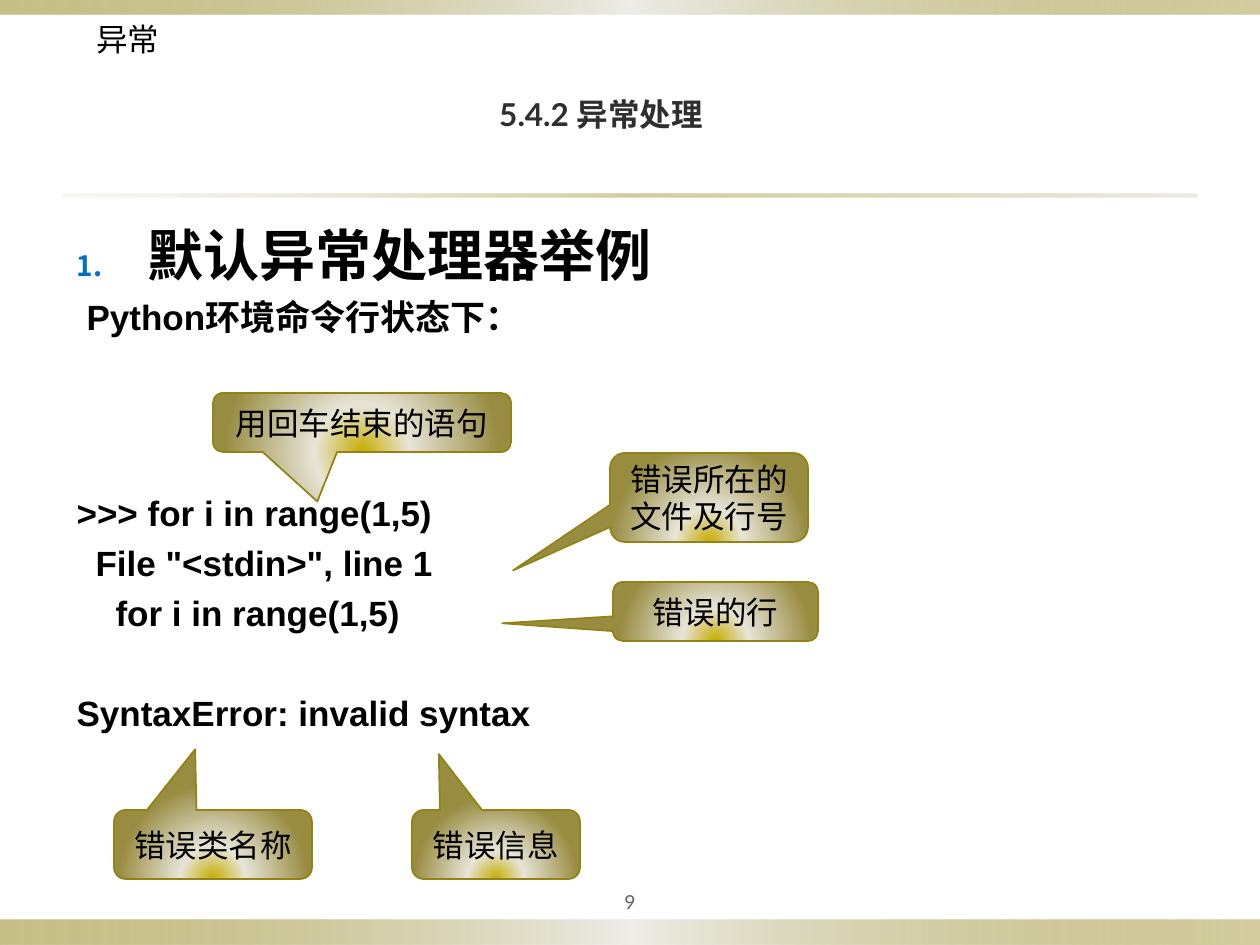
from dataclasses import dataclass

from lxml import etree
from pptx import Presentation
from pptx.dml.color import RGBColor
from pptx.enum.shapes import MSO_SHAPE
from pptx.enum.text import MSO_ANCHOR, MSO_AUTO_SIZE, PP_ALIGN
from pptx.oxml.ns import qn
from pptx.util import Emu, Pt

PIXEL = 914400 // 126
RECTANGLE = MSO_SHAPE.RECTANGLE
CALLOUT = MSO_SHAPE.ROUNDED_RECTANGULAR_CALLOUT
CENTER, LEFT = PP_ALIGN.CENTER, PP_ALIGN.LEFT
MIDDLE, TOP = MSO_ANCHOR.MIDDLE, MSO_ANCHOR.TOP
NO_FIT = MSO_AUTO_SIZE.NONE
COLORS = {
    "black": "000000", "title": "2F2F2F", "number": "636363", "bullet": "0070C0",
    "olive": "918415", "pale": "EEEDE8", "sand": "DCD9CC",
    "gold": "C6AD00", "cream": "E8E5D8", "moss": "988C41",
}


@dataclass(frozen=True)
class Stop:
    """A gradient stop: position and opacity in percent."""
    position: int
    color: str
    opacity: int = 100


@dataclass(frozen=True)
class Band:
    """A decorative strip, in pixels."""
    box: tuple[int, int, int, int]
    stops: tuple[Stop, ...]


@dataclass(frozen=True)
class Callout:
    """A speech bubble, in pixels, with its relative tip."""
    box: tuple[int, int, int, int]
    tip: tuple[float, float]
    lines: tuple[str, ...]


@dataclass(frozen=True)
class BodyLine:
    """A body paragraph: indent in pixels, size and space before in points."""
    text: str
    indent: int = 0
    before: float = 4.6
    size: int = 20
    font: str = "Arial"
    numbered: bool = False


EDGE = (Stop(0, "olive", 50), Stop(50, "pale"), Stop(100, "olive", 40))
RULE = (Stop(0, "sand", 20), Stop(50, "olive", 40), Stop(100, "sand", 50))
GLOW = (Stop(0, "gold"), Stop(31, "cream"), Stop(91, "moss"))
BANDS = (
    Band((0, 920, 1260, 25), EDGE),
    Band((0, 0, 1260, 15), EDGE),
    Band((63, 194, 1134, 3), RULE),
)
CALLOUTS = (
    Callout((114, 810, 198, 69), (-0.09, -1.38), ("错误类名称",)),
    Callout((412, 810, 168, 69), (-0.34, -1.31), ("错误信息",)),
    Callout((213, 393, 298, 59), (-0.15, 1.34), ("用回车结束的语句",)),
    Callout((610, 453, 198, 89), (-0.99, 0.82), ("错误所在的", "文件及行号")),
    Callout((613, 582, 205, 59), (-1.04, 0.2), ("错误的行",)),
)
BODY = (
    BodyLine("默认异常处理器举例", 71, 6, 32, "Lato", True),
    BodyLine("Python环境命令行状态下：", 10),
    BodyLine(">>> for i in range(1,5)", before=88),
    BodyLine('File "<stdin>", line 1', 19),
    BodyLine("for i in range(1,5)", 39),
    BodyLine("SyntaxError: invalid syntax", before=33),
)


def pixels(values) -> list[Emu]:
    """Turn pixel lengths into EMU."""
    return [Emu(value * PIXEL) for value in values]


def place(shape, box) -> None:
    """Move and size a shape to a pixel box."""
    shape.left, shape.top, shape.width, shape.height = pixels(box)


def style(para, size, color, font="Lato", bold=False, align=CENTER) -> None:
    """Format one paragraph."""
    para.alignment = align
    para.font.size, para.font.name, para.font.bold = Pt(size), font, bold
    para.font.color.rgb = RGBColor.from_string(COLORS[color])


def set_frame(frame, anchor) -> None:
    """Give a text frame wrapping, a fixed size and an anchor."""
    frame.word_wrap = True
    frame.auto_size = NO_FIT
    frame.vertical_anchor = anchor


def fill_gradient(shape, stops, radial=False) -> None:
    """Fill a shape with a horizontal or bottom-centred radial gradient."""
    shape.shadow.inherit = False
    shape.fill.gradient()
    gradient = shape._element.spPr.find(qn("a:gradFill"))
    for child in list(gradient):
        gradient.remove(child)
    stop_list = etree.SubElement(gradient, qn("a:gsLst"))
    for stop in stops:
        node = etree.SubElement(stop_list, qn("a:gs"), pos=str(stop.position * 1000))
        color = etree.SubElement(node, qn("a:srgbClr"), val=COLORS[stop.color])
        if stop.opacity < 100:
            etree.SubElement(color, qn("a:alpha"), val=str(stop.opacity * 1000))
    if radial:
        route = etree.SubElement(gradient, qn("a:path"), path="circle")
        etree.SubElement(route, qn("a:fillToRect"),
                         l="50000", t="150000", r="50000", b="-50000")
    else:
        etree.SubElement(gradient, qn("a:lin"), ang="0", scaled="0")


def add_band(page, band: Band) -> None:
    """Draw one decorative strip."""
    shape = page.shapes.add_shape(RECTANGLE, *pixels(band.box))
    fill_gradient(shape, band.stops)
    shape.line.fill.background()


def add_label(page, box, text, size, color, font, align, anchor) -> None:
    """Draw a one-line text box."""
    frame = page.shapes.add_textbox(*pixels(box)).text_frame
    set_frame(frame, anchor)
    frame.text = text
    style(frame.paragraphs[0], size, color, font, align=align)


def add_callout(page, callout: Callout) -> None:
    """Draw one speech bubble with its text."""
    shape = page.shapes.add_shape(CALLOUT, *pixels(callout.box))
    for index, value in enumerate((*callout.tip, 0.167)):
        shape.adjustments[index] = value
    fill_gradient(shape, GLOW, radial=True)
    shape.line.color.rgb = RGBColor.from_string(COLORS["olive"])
    shape.line.width = Pt(1)
    set_frame(shape.text_frame, MIDDLE)
    shape.text_frame.text = "\n".join(callout.lines)
    for para in shape.text_frame.paragraphs:
        style(para, 18, "black")


def set_bullet(para, line: BodyLine) -> None:
    """Set the indent and the number, or no bullet, of a body paragraph."""
    properties = para._p.get_or_add_pPr()
    indent = line.indent * PIXEL
    properties.set("marL", str(indent))
    properties.set("indent", str(-indent if line.numbered else 0))
    if line.numbered:
        color = etree.SubElement(properties, qn("a:buClr"))
        etree.SubElement(color, qn("a:srgbClr"), val=COLORS["bullet"])
        etree.SubElement(properties, qn("a:buSzPct"), val="50000")
        etree.SubElement(properties, qn("a:buFont"), typeface="+mj-lt")
        etree.SubElement(properties, qn("a:buAutoNum"), type="arabicPeriod")
    else:
        etree.SubElement(properties, qn("a:buNone"))


def fill_body(body) -> None:
    """Write the example into the body placeholder."""
    place(body, (64, 214, 1142, 655))
    frame = body.text_frame
    set_frame(frame, TOP)
    frame.text = "\n".join(line.text for line in BODY)
    for para, line in zip(frame.paragraphs, BODY):
        para.space_before = Pt(line.before)
        set_bullet(para, line)
        style(para, line.size, "black", line.font, True, LEFT)


def main() -> None:
    """Build and save the slide."""
    deck = Presentation()
    deck.slide_width, deck.slide_height = pixels((1260, 945))
    page = deck.slides.add_slide(deck.slide_layouts[1])
    for band in BANDS:
        add_band(page, band)
    add_label(page, (84, 14, 367, 50), "异常", 18, "black", "Cabin", LEFT, TOP)
    title = page.shapes.title
    place(title, (64, 26, 1074, 175))
    set_frame(title.text_frame, MIDDLE)
    title.text_frame.text = "5.4.2 异常处理"
    style(title.text_frame.paragraphs[0], 18, "title", bold=True)
    fill_body(page.placeholders[1])
    add_label(page, (567, 882, 126, 39), "9", 11, "number", "Lato", CENTER, MIDDLE)
    for callout in CALLOUTS:
        add_callout(page, callout)
    deck.save("out.pptx")


main()
